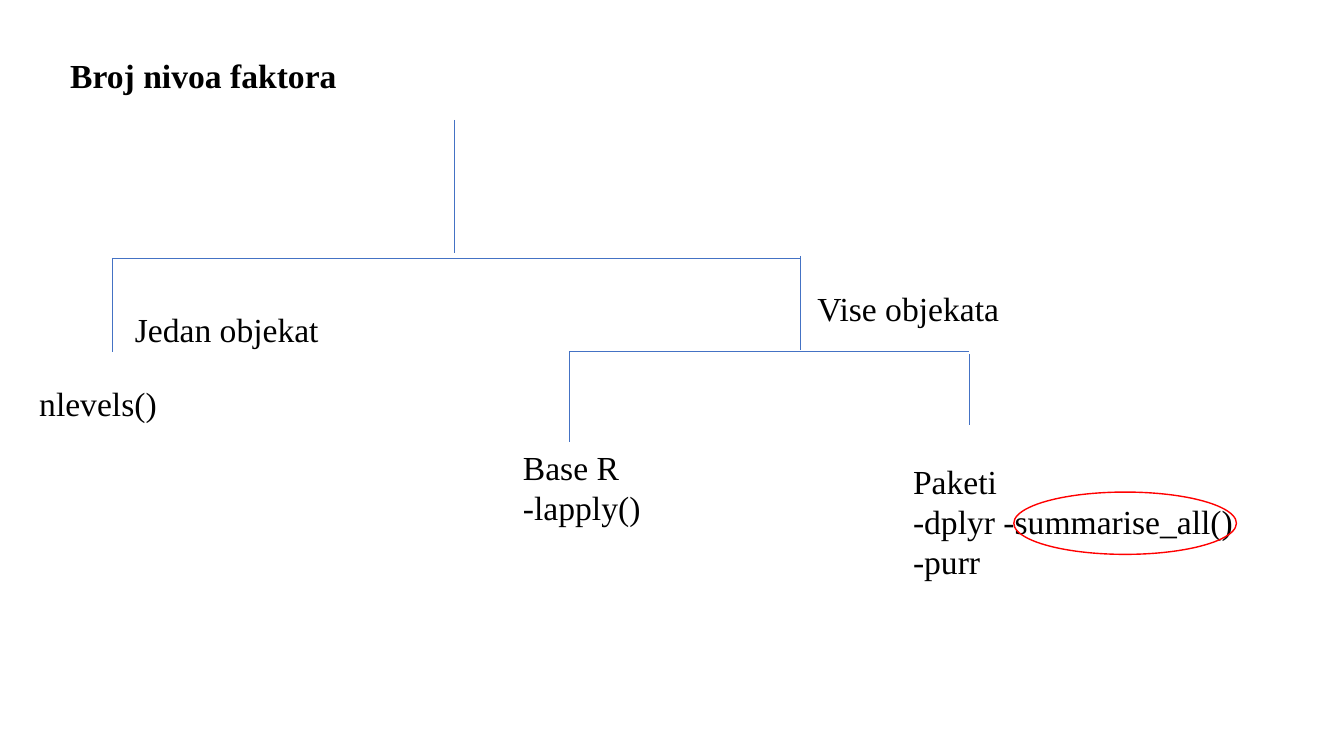
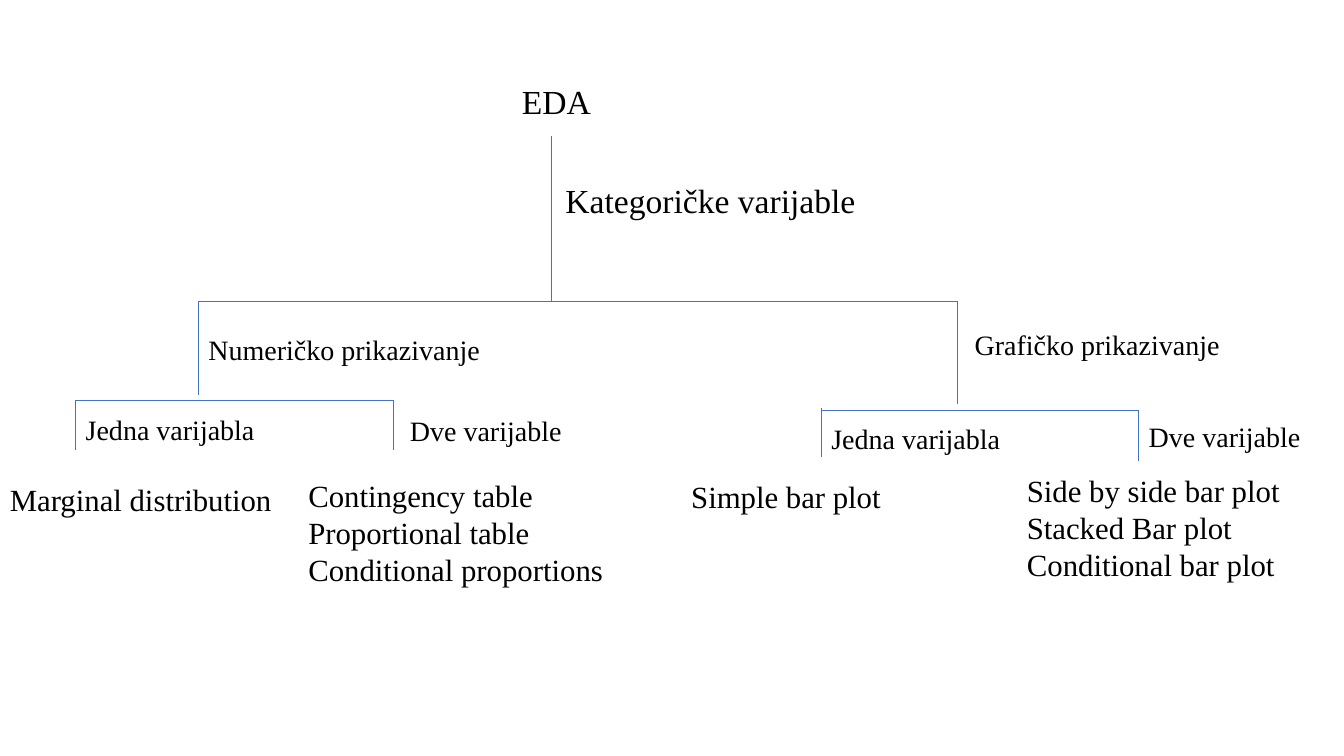
import pptx
import pptx.util
import pptx.dml.color
import pptx.enum.shapes
import pptx.enum.text
import pptx.oxml.ns
from lxml import etree

Cm = pptx.util.Cm
Pt = pptx.util.Pt


class TreeDeck:
    COLORS = {"text": "000000", "line": "4472C4", "mark": "FF0000"}
    FONT = "Times New Roman"

    def __init__(self):
        self.prs = pptx.Presentation()
        self.prs.slide_width = Cm(33.87)
        self.prs.slide_height = Cm(19.05)
        self.s = None

    def color(self, name):
        return pptx.dml.color.RGBColor.from_string(self.COLORS[name])

    def new_slide(self):
        self.s = self.prs.slides.add_slide(self.prs.slide_layouts[6])

    def text(self, x, y, width, lines, size=24, bold=False):
        height = len(lines) * size * 1.2 / 72 * 2.54 + 0.25
        sp = self.s.shapes.add_textbox(Cm(x), Cm(y), Cm(width), Cm(height))
        tf = sp.text_frame
        tf.word_wrap = True
        tf.auto_size = pptx.enum.text.MSO_AUTO_SIZE.SHAPE_TO_FIT_TEXT
        tf.text = "\n".join(lines)
        for p in tf.paragraphs:
            for r in p.runs:
                r.font.name = self.FONT
                r.font.size = Pt(size)
                r.font.bold = bold
                r.font.color.rgb = self.color("text")

    def line(self, x1, y1, x2, y2):
        straight = pptx.enum.shapes.MSO_CONNECTOR.STRAIGHT
        sp = self.s.shapes.add_connector(straight, Cm(x1), Cm(y1), Cm(x2), Cm(y2))
        sp.line.color.rgb = self.color("line")
        sp.line.width = Pt(0.5)
        etree.SubElement(sp._element.spPr, pptx.oxml.ns.qn("a:effectLst"))

    def stem(self, x, top, bottom):
        self.line(x, top, x, bottom)

    def fork(self, left, right, y, left_drop, right_drop):
        self.line(left, y, right, y)
        self.stem(left, *left_drop)
        self.stem(right, *right_drop)

    def ring(self, x, y, width, height):
        oval = pptx.enum.shapes.MSO_SHAPE.OVAL
        sp = self.s.shapes.add_shape(oval, Cm(x), Cm(y), Cm(width), Cm(height))
        sp.shadow.inherit = False
        sp.fill.background()
        sp.line.color.rgb = self.color("mark")
        sp.line.width = Pt(1)


def factor_levels(deck):
    deck.new_slide()
    deck.text(1.52, 1.27, 12.07, ["Broj nivoa faktora"], bold=True)
    deck.stem(11.46, 3.02, 6.38)
    deck.fork(2.82, 20.17, 6.5, (6.5, 8.86), (6.45, 8.81))
    deck.text(3.15, 7.65, 6.58, ["Jedan objekat"])
    deck.text(20.35, 7.14, 6.73, ["Vise objekata"])
    deck.text(0.74, 9.53, 7.54, ["nlevels()"])
    deck.fork(14.35, 24.43, 8.86, (8.86, 11.13), (8.92, 10.72))
    deck.text(12.93, 11.13, 8, ["Base R", "-lapply()"])
    deck.text(22.76, 11.48, 8.74, ["Paketi", "-dplyr -summarise_all()", "-purr"])
    deck.ring(25.55, 12.4, 5.61, 1.57)


def categorical_variables(deck):
    deck.new_slide()
    deck.text(12.9, 1.91, 8.92, ["EDA"])
    deck.stem(13.89, 3.43, 7.59)
    deck.text(14, 4.42, 10.69, ["Kategoričke varijable"])
    deck.fork(5, 24.13, 7.59, (7.59, 9.96), (7.59, 10.19))
    deck.fork(1.91, 9.91, 10.08, (10.08, 11.35), (10.08, 11.35))
    deck.fork(20.7, 28.7, 10.34, (10.29, 11.51), (10.34, 11.61))

    branch_labels = [
        (5, 8.26, 9.6, "Numeričko prikazivanje"),
        (24.31, 8.13, 8.26, "Grafičko prikazivanje"),
        (1.91, 10.26, 5.18, "Jedna varijabla"),
        (10.08, 10.29, 5, "Dve varijable"),
        (20.7, 10.49, 5.18, "Jedna varijabla"),
        (28.7, 10.44, 4.75, "Dve varijable"),
    ]
    for x, y, width, label in branch_labels:
        deck.text(x, y, width, [label], size=20)

    leaves = [
        (0, 11.99, 7.52, ["Marginal distribution"]),
        (7.52, 11.89, 8,
         ["Contingency table", "Proportional table", "Conditional proportions"]),
        (17.17, 11.91, 7.52, ["Simple bar plot"]),
        (25.63, 11.76, 8.2,
         ["Side by side bar plot", "Stacked Bar plot", "Conditional bar plot"]),
    ]
    for x, y, width, lines in leaves:
        deck.text(x, y, width, lines, size=22)


def main():
    deck = TreeDeck()
    factor_levels(deck)
    categorical_variables(deck)
    deck.prs.save("out.pptx")


if __name__ == "__main__":
    main()
